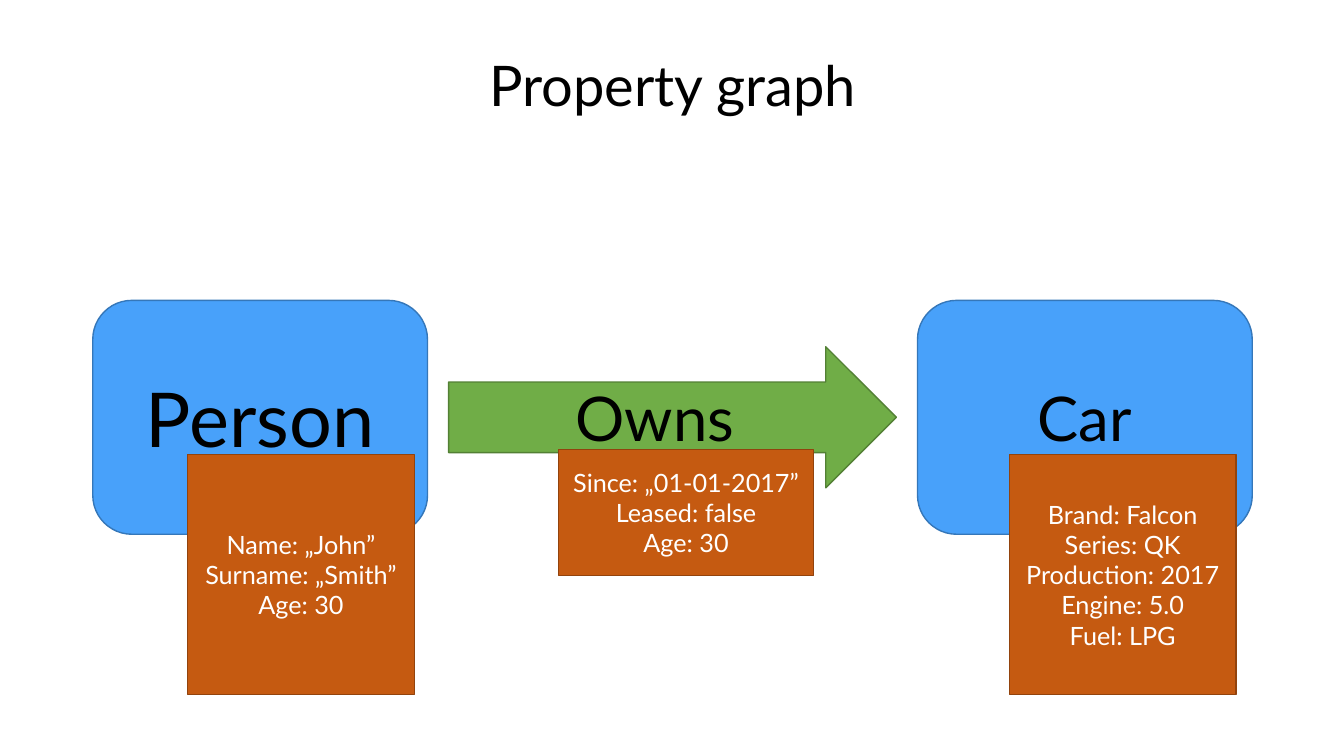
from pptx import Presentation
from pptx.dml.color import RGBColor
from pptx.enum.shapes import MSO_SHAPE
from pptx.enum.text import MSO_ANCHOR, PP_ALIGN
from pptx.util import Inches, Pt

TITLE = "Property graph"
NODES = [("Person", 54, 0.92), ("Car", 44, 9.1)]
EDGE = ("Owns", 44)
PERSON = ["Name: „John”", "Surname: „Smith”", "Age: 30"]
CAR = ["Brand: Falcon", "Series: QK", "Production: 2017", "Engine: 5.0", "Fuel: LPG"]
OWNS = ["Since: „01-01-2017”", "Leased: false", "Age: 30"]
CARDS = [
    (PERSON, (1.86, 4.51, 2.25, 2.38)),
    (CAR, (10.01, 4.51, 2.25, 2.38)),
    (OWNS, (5.54, 4.46, 2.53, 1.25)),
]

FONT = "Lato"
BLACK = RGBColor(0x00, 0x00, 0x00)
WHITE = RGBColor(0xFF, 0xFF, 0xFF)
BLUE = (RGBColor(0x48, 0xA1, 0xFA), RGBColor(0x35, 0x77, 0xB9))
GREEN = (RGBColor(0x70, 0xAD, 0x47), RGBColor(0x53, 0x80, 0x35))
RUST = (RGBColor(0xC5, 0x5A, 0x11), RGBColor(0x92, 0x43, 0x0D))

NODE_TOP, NODE_W, NODE_H = 2.98, 3.32, 2.32
GAP = 0.21
ARROW_H = 1.4


def write(shape, lines, size, color, spacing=None):
    frame = shape.text_frame
    frame.word_wrap = True
    frame.vertical_anchor = MSO_ANCHOR.MIDDLE
    frame.text = "\n".join(lines)
    for para in frame.paragraphs:
        para.alignment = PP_ALIGN.CENTER
        para.line_spacing = spacing
        para.font.name = FONT
        para.font.size = Pt(size)
        para.font.color.rgb = color


def draw(slide, kind, box, paint, lines, size, color):
    shape = slide.shapes.add_shape(kind, *map(Inches, box))
    shape.shadow.inherit = False
    shape.fill.solid()
    shape.fill.fore_color.rgb, shape.line.color.rgb = paint
    shape.line.width = Pt(1)
    write(shape, lines, size, color)


def main():
    deck = Presentation()
    deck.slide_width, deck.slide_height = Inches(13.33), Inches(7.5)
    slide = deck.slides.add_slide(deck.slide_layouts[6])

    title = slide.shapes.add_textbox(*map(Inches, (0.92, 0.4, 11.5, 0.96)))
    write(title, [TITLE], 40, BLACK, 0.9)

    for name, size, left in NODES:
        box = (left, NODE_TOP, NODE_W, NODE_H)
        draw(slide, MSO_SHAPE.ROUNDED_RECTANGLE, box, BLUE, [name], size, BLACK)

    start = NODES[0][2] + NODE_W + GAP
    end = NODES[1][2] - GAP
    top = NODE_TOP + (NODE_H - ARROW_H) / 2
    label, size = EDGE
    box = (start, top, end - start, ARROW_H)
    draw(slide, MSO_SHAPE.RIGHT_ARROW, box, GREEN, [label], size, BLACK)

    for lines, box in CARDS:
        draw(slide, MSO_SHAPE.RECTANGLE, box, RUST, lines, 18, WHITE)

    deck.save("out.pptx")


if __name__ == "__main__":
    main()
